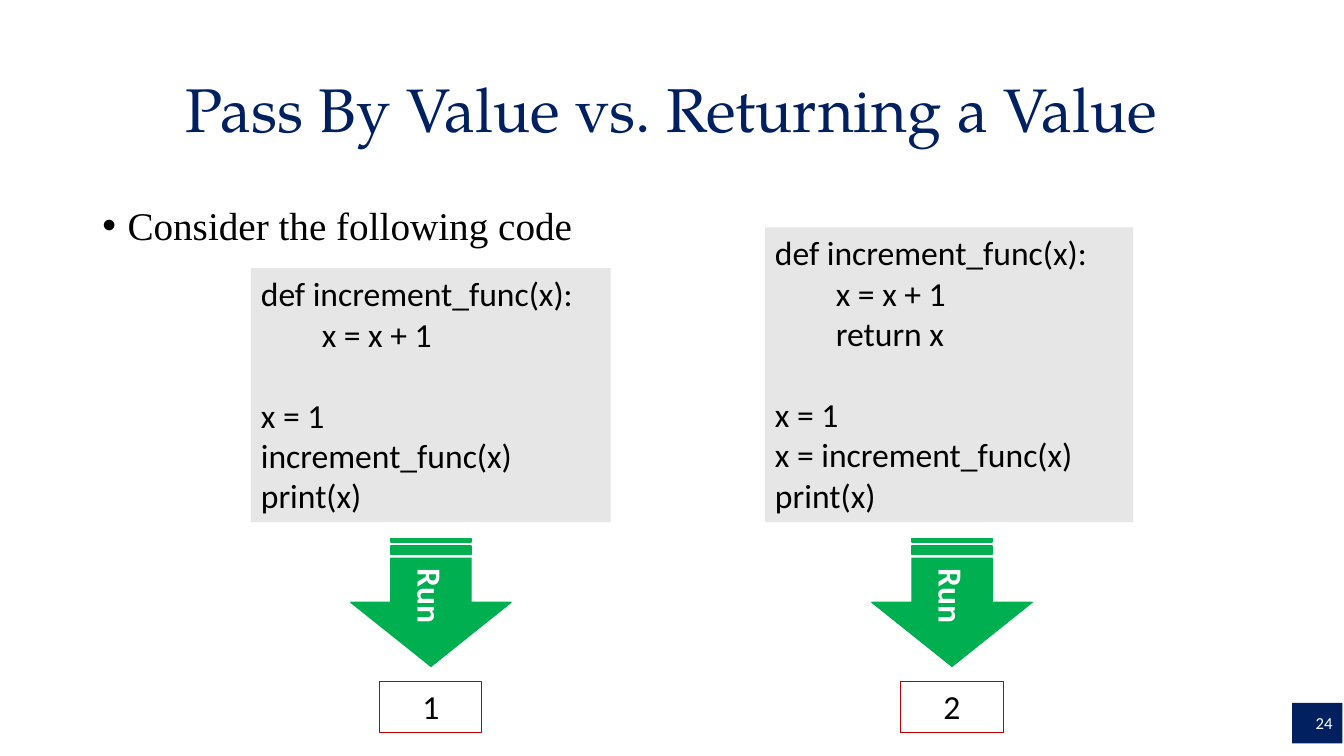
"""Build the slide comparing pass by value with returning a value."""
from dataclasses import dataclass

from lxml.etree import SubElement
from pptx import Presentation
from pptx.dml.color import RGBColor
from pptx.enum.shapes import MSO_SHAPE
from pptx.enum.text import MSO_ANCHOR, PP_ALIGN
from pptx.oxml.ns import qn
from pptx.shapes.autoshape import Shape
from pptx.util import Pt

NAVY = RGBColor(0x00, 0x20, 0x60)
GREY = RGBColor(0xE7, 0xE6, 0xE6)
GREEN = RGBColor(0x00, 0xB0, 0x50)
RED = RGBColor(0xC0, 0x00, 0x00)
BLACK = RGBColor(0x00, 0x00, 0x00)
WHITE = RGBColor(0xFF, 0xFF, 0xFF)

CODE_BOTTOM = 373
CODE_LINE = 29.05
CODE_PADDING = 7.2
CODE_INDENT = 43.5
ARROW_LENGTH, ARROW_BREADTH = 91.5, 114.5
ARROW_MIDDLE = 430.2
RESULT_TOP, RESULT_WIDTH, RESULT_HEIGHT = 486.7, 73, 36.4


@dataclass(frozen=True)
class Program:
    """A code listing, its place, and the result it prints."""

    left: float
    width: float
    run_center: float
    function: tuple[str, ...]
    calls: tuple[str, ...]
    result: str


PROGRAMS = (
    Program(179.3, 257, 307.8, ("def increment_func(x):", "x = x + 1"),
            ("x = 1", "increment_func(x)", "print(x)"), "1"),
    Program(546.5, 263, 680, ("def increment_func(x):", "x = x + 1", "return x"),
            ("x = 1", "x = increment_func(x)", "print(x)"), "2"),
)

deck = Presentation()
deck.slide_width, deck.slide_height = Pt(960), Pt(540)
page = deck.slides.add_slide(deck.slide_layouts[6])


def add_box(left: float, top: float, width: float, height: float, *,
            kind: MSO_SHAPE = MSO_SHAPE.RECTANGLE, fill: RGBColor | None = None,
            line: RGBColor | None = None, line_width: float = 1,
            anchor: MSO_ANCHOR = MSO_ANCHOR.TOP) -> Shape:
    """Add a shadowless shape with the given fill and outline."""
    box = page.shapes.add_shape(kind, Pt(left), Pt(top), Pt(width), Pt(height))
    box.shadow.inherit = False
    if fill is None:
        box.fill.background()
    else:
        box.fill.solid()
        box.fill.fore_color.rgb = fill
    if line is None:
        box.line.fill.background()
    else:
        box.line.color.rgb = line
        box.line.width = Pt(line_width)
    box.text_frame.word_wrap = True
    box.text_frame.vertical_anchor = anchor
    return box


def write(box: Shape, text: str, *, size: float = 24, font: str = "Calibri",
          color: RGBColor = BLACK, bold: bool = False,
          align: PP_ALIGN = PP_ALIGN.LEFT, before: float = 0, spacing: float = 1,
          indent: float = 0, bullet: str = "") -> None:
    """Append a formatted paragraph, filling the first one if it is empty."""
    frame = box.text_frame
    para = frame.add_paragraph() if frame.text else frame.paragraphs[0]
    para.alignment = align
    para.space_before = Pt(before)
    para.line_spacing = spacing
    properties = para._p.get_or_add_pPr()
    properties.set("marL", str(Pt(indent)))
    if bullet:
        properties.set("indent", str(-Pt(indent)))
        SubElement(properties, qn("a:buFont"), typeface="Arial")
        SubElement(properties, qn("a:buChar"), char=bullet)
    span = para.add_run()
    span.text = text
    span.font.size, span.font.name, span.font.bold = Pt(size), font, bold
    span.font.color.rgb = color


def add_program(program: Program) -> None:
    """Draw a listing, its run arrow and its result."""
    line_count = len(program.function) + 1 + len(program.calls)
    height = line_count * CODE_LINE + CODE_PADDING
    code = add_box(program.left, CODE_BOTTOM - height, program.width, height, fill=GREY)
    for position, text in enumerate(program.function):
        write(code, text, indent=CODE_INDENT if position else 0)
    for position, text in enumerate(program.calls):
        write(code, text, before=0 if position else CODE_LINE)

    arrow = add_box(program.run_center - ARROW_LENGTH / 2, ARROW_MIDDLE - ARROW_BREADTH / 2,
                    ARROW_LENGTH, ARROW_BREADTH, kind=MSO_SHAPE.STRIPED_RIGHT_ARROW,
                    fill=GREEN, line=GREEN, anchor=MSO_ANCHOR.MIDDLE)
    arrow.rotation = 90
    write(arrow, "Run", color=WHITE, bold=True, align=PP_ALIGN.CENTER)

    result = add_box(program.run_center - RESULT_WIDTH / 2, RESULT_TOP,
                     RESULT_WIDTH, RESULT_HEIGHT, line=RED, line_width=0.75)
    write(result, program.result, align=PP_ALIGN.CENTER)


body = add_box(66, 144, 854, 386)
write(body, "Consider the following code", size=28, font="Times New Roman",
      before=10, spacing=0.9, indent=18, bullet="•")
title = add_box(66, 28, 828, 104.4, anchor=MSO_ANCHOR.MIDDLE)
write(title, "Pass By Value vs. Returning a Value", size=44, font="TeX Gyre Pagella",
      color=NAVY, align=PP_ALIGN.CENTER, spacing=0.9)
for listing in PROGRAMS:
    add_program(listing)
number = add_box(923, 502, 36, 29, fill=NAVY, anchor=MSO_ANCHOR.MIDDLE)
write(number, "24", size=12, color=WHITE, align=PP_ALIGN.RIGHT)

deck.save("out.pptx")
